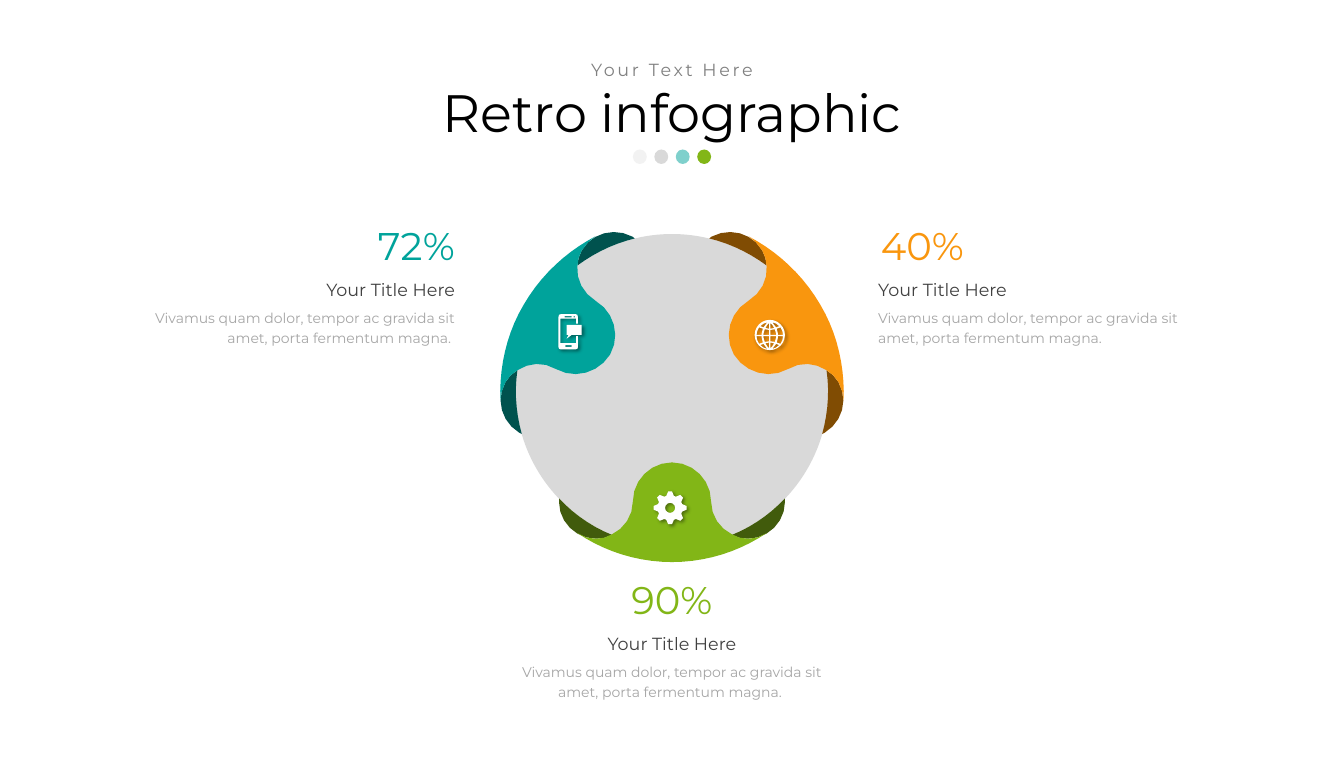
from math import ceil, cos, dist, pi, sin

from lxml.etree import SubElement
from pptx import Presentation
from pptx.dml.color import RGBColor
from pptx.enum.shapes import MSO_SHAPE
from pptx.enum.text import MSO_ANCHOR, MSO_AUTO_SIZE, PP_ALIGN
from pptx.oxml.ns import qn
from pptx.util import Pt

EMU_PER_PX = 9144
CENTER_X = 1065
TEAL, ORANGE, GREEN = "00A39B", "F9960E", "82B617"
DARK_TEAL, DARK_ORANGE, DARK_GREEN = "00524E", "804C03", "415B0C"
GRAY, WHITE = "D9D9D9", "FFFFFF"
BODY = "Vivamus quam dolor, tempor ac gravida sit amet, porta fermentum magna."

SIDE_PETAL = [
    (1300, 483), (1272, 435, 1232, 399, 1187, 375), (1195, 381, 1202, 387, 1207, 396),
    (1208, 397), (1212, 405, 1215, 413, 1215, 422),
    (1217, 443, 1206, 465, 1186, 477), (1157, 494, 1146, 532, 1163, 562),
    (1181, 591, 1219, 602, 1249, 585), (1269, 573, 1292, 575, 1310, 587),
    (1318, 591, 1324, 598, 1329, 606), (1334, 616, 1337, 626, 1337, 635),
    (1339, 584, 1328, 530, 1300, 483)]
BOTTOM_PETAL_HALF = [
    (1065, 891), (1120, 891, 1172, 874, 1215, 845), (1206, 851, 1197, 854, 1187, 854),
    (1185, 854), (1176, 854, 1168, 852, 1160, 847), (1141, 838, 1127, 818, 1127, 795),
    (1127, 761, 1099, 733, 1065, 733)]
LOWER_SIDE_FOLD = [
    (1303, 688), (1307, 686), (1335, 669, 1345, 634, 1329, 606),
    (1324, 598, 1318, 591, 1310, 587), (1315, 621, 1312, 656, 1303, 688)]
UPPER_SIDE_FOLD = [
    (1215, 421), (1215, 413, 1212, 405, 1208, 397), (1192, 369, 1156, 360, 1128, 375),
    (1124, 378), (1157, 386, 1188, 401, 1215, 421)]
BOTTOM_FOLD = [
    (1160, 848), (1168, 852, 1176, 854, 1185, 854), (1218, 854, 1244, 827, 1244, 796),
    (1244, 790), (1221, 815, 1192, 835, 1160, 848)]
GLOBE_CELLS = [
    [(1235, 517), (1230, 519), (1224, 511), (1230, 513)],
    [(1233, 531), (1233, 529), (1231, 521), (1237, 519), (1240, 525), (1241, 531)],
    [(1221, 521), (1221, 512), (1224, 515), (1227, 520)],
    [(1221, 531), (1221, 523), (1228, 522), (1230, 529), (1230, 531)]]
PHONE_BODY = [
    (913, 544), (888, 544), (888, 505), (913, 505), (913, 513), (916, 513), (916, 503),
    (915, 499), (912, 498), (889, 498), (886, 499), (885, 503), (885, 550), (886, 553),
    (889, 554), (912, 554), (915, 553), (916, 550), (916, 533), (913, 533)]
PHONE_BUBBLE = [(898, 531), (901, 531), (898, 537), (906, 531), (922, 531), (922, 515), (898, 515)]


def rgb(color):
    return RGBColor.from_string(color)


def trace(segments, stride=16):
    points = [segments[0]]
    for segment in segments[1:]:
        if len(segment) == 2:
            points.append(segment)
            continue
        x0, y0 = points[-1]
        x1, y1, x2, y2, x3, y3 = segment
        steps = ceil(dist((x0, y0), (x3, y3)) / stride)
        for step in range(1, steps + 1):
            t = step / steps
            a, b, c, d = (1 - t) ** 3, 3 * t * (1 - t) ** 2, 3 * t * t * (1 - t), t ** 3
            points.append((a * x0 + b * x1 + c * x2 + d * x3, a * y0 + b * y1 + c * y2 + d * y3))
    return points


def mirror(points, axis=CENTER_X):
    return [(2 * axis - x, y) for x, y in points]


def flip(points, axis):
    return [(x, 2 * axis - y) for x, y in points]


def circle(cx, cy, radius, sides):
    angles = [2 * pi * side / sides for side in range(sides)]
    return [(cx + radius * cos(a), cy + radius * sin(a)) for a in angles]


def rectangle(left, top, right, bottom):
    return [(left, top), (right, top), (right, bottom), (left, bottom)]


def gear_contours(cx, cy):
    rim = []
    for tooth in range(8):
        c, s = cos(tooth * pi / 4), sin(tooth * pi / 4)
        rim += [(cx + x * c - y * s, cy + x * s + y * c)
                for x, y in [(-6, -19), (-3, -26), (3, -26), (6, -19)]]
    return [rim, circle(cx, cy, 8, 12)]


def globe_contours():
    contours = [circle(1220, 531, 24, 24)]
    for cell in GLOBE_CELLS:
        for half in (cell, flip(cell, 532)):
            contours += [half, mirror(half, 1220)]
    return contours


def phone_contours():
    return [PHONE_BODY, PHONE_BUBBLE, rectangle(895, 501, 906, 503),
            rectangle(909, 501, 911, 503), rectangle(896, 547, 906, 550)]


def write(box, text, size=20, color="404040", align=PP_ALIGN.CENTER, leading=1.0, tracking=0):
    paragraph = box.text_frame.paragraphs[0]
    paragraph.alignment = align
    paragraph.line_spacing = leading
    run = paragraph.add_run()
    run.text = text
    run.font.name = "Montserrat"
    run.font.size = Pt(size)
    run.font.color.rgb = rgb(color)
    if tracking:
        run.font._element.set("spc", str(tracking * 100))


class Infographic:
    def __init__(self, slide):
        self.shapes = slide.shapes

    def px(self, *lengths):
        return [round(length * EMU_PER_PX) for length in lengths]

    def paint(self, shape, color, opacity=100):
        shape.shadow.inherit = False
        shape.fill.solid()
        shape.fill.fore_color.rgb = rgb(color)
        shape.line.fill.background()
        if opacity < 100:
            tint = shape._element.spPr.find(".//" + qn("a:srgbClr"))
            SubElement(tint, qn("a:alpha"), val=str(opacity * 1000))

    def ellipse(self, left, top, width, height, color, opacity=100):
        shape = self.shapes.add_shape(MSO_SHAPE.OVAL, *self.px(left, top, width, height))
        self.paint(shape, color, opacity)

    def outline(self, contours, color):
        rings = [[self.px(*point) for point in contour] for contour in contours]
        builder = self.shapes.build_freeform(*rings[0][0], scale=1.0)
        for index, ring in enumerate(rings):
            if index:
                builder.move_to(*ring[0])
            builder.add_line_segments(ring[1:], close=True)
        shape = builder.convert_to_shape()
        self.paint(shape, color)
        return shape

    def icon(self, contours):
        shape = self.outline(contours, WHITE)
        effects = shape._element.spPr.find(qn("a:effectLst"))
        shadow = SubElement(effects, qn("a:outerShdw"), blurRad=str(Pt(4)), dist=str(Pt(3)),
                            dir=str(45 * 60000), algn="tl", rotWithShape="0")
        tint = SubElement(shadow, qn("a:srgbClr"), val="000000")
        SubElement(tint, qn("a:alpha"), val="40000")

    def text(self, left, top, width, height, text, wrap=True, grow=False, **style):
        box = self.shapes.add_textbox(*self.px(left, top, width, height))
        frame = box.text_frame
        frame.word_wrap = wrap
        frame.vertical_anchor = MSO_ANCHOR.TOP if grow else MSO_ANCHOR.MIDDLE
        frame.auto_size = MSO_AUTO_SIZE.SHAPE_TO_FIT_TEXT if grow else MSO_AUTO_SIZE.NONE
        write(box, text, **style)

    def statistic(self, x, top, share, percent, color, body, align):
        self.text(x - 160 * share, top, 160, 84, percent, wrap=False, grow=True, size=44, color=color,
                  align=PP_ALIGN.CENTER if share < 1 else align)
        self.text(x - 323 * share, top + 84, 323, 50, "Your Title Here", grow=True,
                  align=align, leading=1.2)
        self.text(x - 507 * share, top + 133, 507, 75, body, grow=True, size=16, color="A6A6A6",
                  align=align, leading=1.2)


def main():
    deck = Presentation()
    deck.slide_width, deck.slide_height = 2130 * EMU_PER_PX, 1200 * EMU_PER_PX
    page = Infographic(deck.slides.add_slide(deck.slide_layouts[6]))

    page.text(102, 131, 1926, 103, "Retro infographic", size=60, color="000000", leading=0.9)
    page.text(748, 95, 634, 35, "Your Text Here", color="808080", leading=0.9, tracking=3)
    dots = [("F2F2F2", 100), (GRAY, 98), (TEAL, 50), (GREEN, 100)]
    for index, (color, opacity) in enumerate(dots):
        page.ellipse(1003 + 34 * index, 237, 22, 23, color, opacity)

    page.statistic(1382, 347, 0, "40%", ORANGE, BODY, PP_ALIGN.LEFT)
    page.statistic(CENTER_X, 908, 0.5, "90%", GREEN, BODY + " ", PP_ALIGN.CENTER)
    page.statistic(731, 347, 1, "72%", TEAL, BODY + " ", PP_ALIGN.RIGHT)

    page.ellipse(817, 371, 496, 496, GRAY)
    for segments, right_color, left_color in [
            (LOWER_SIDE_FOLD, DARK_ORANGE, DARK_TEAL), (UPPER_SIDE_FOLD, DARK_ORANGE, DARK_TEAL),
            (SIDE_PETAL, ORANGE, TEAL), (BOTTOM_FOLD, DARK_GREEN, DARK_GREEN)]:
        right = trace(segments)
        page.outline([right], right_color)
        page.outline([mirror(right)], left_color)
    right_half = trace(BOTTOM_PETAL_HALF)
    page.outline([right_half + mirror(right_half[-2::-1])], GREEN)

    for contours in (gear_contours(1062, 805), phone_contours(), globe_contours()):
        page.icon(contours)

    deck.save("out.pptx")


if __name__ == "__main__":
    main()
